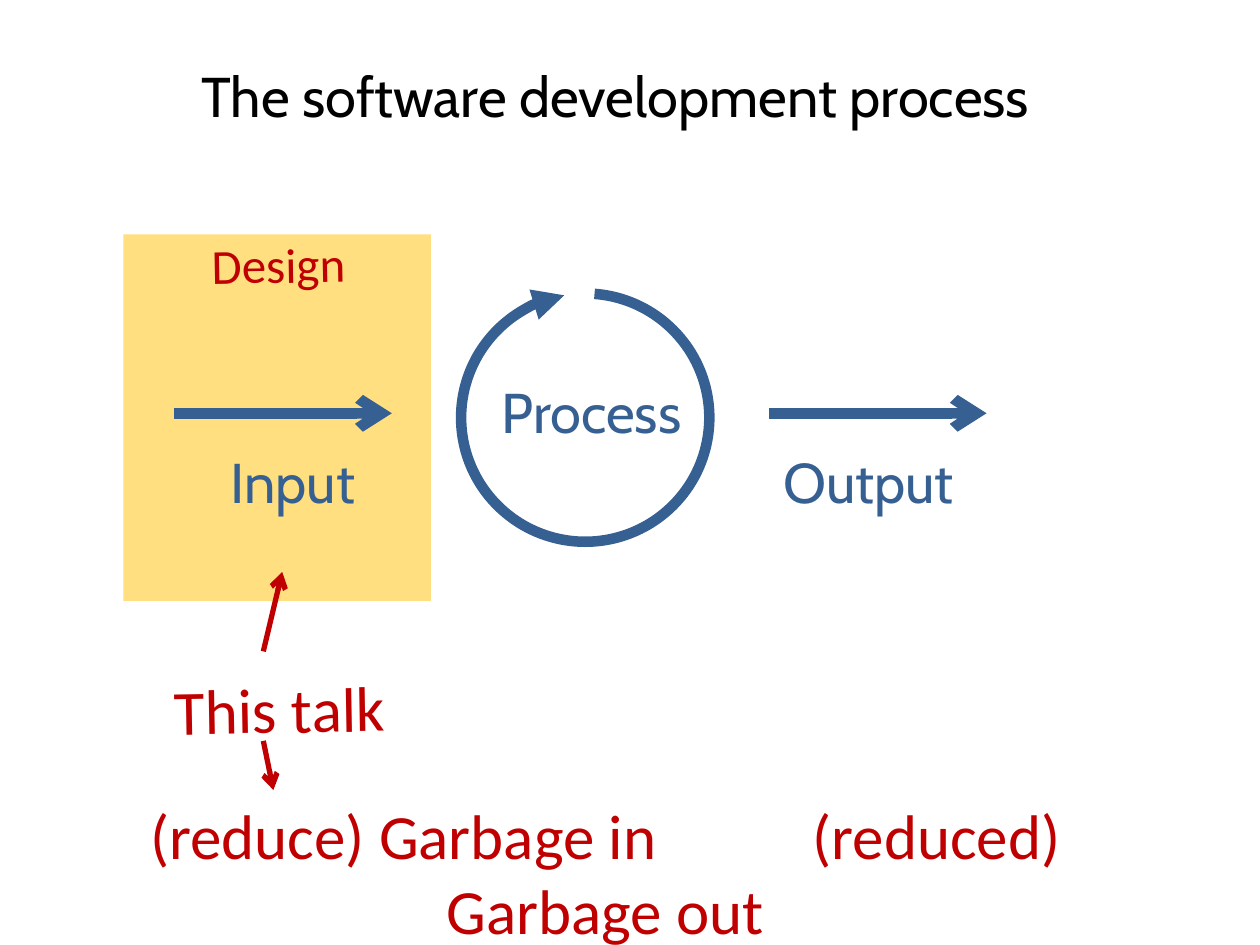
from dataclasses import dataclass

from pptx import Presentation
from pptx.dml.color import RGBColor
from pptx.enum.shapes import MSO_CONNECTOR, MSO_SHAPE
from pptx.enum.text import MSO_ANCHOR, MSO_AUTO_SIZE, PP_ALIGN
from pptx.oxml.ns import qn
from pptx.util import Inches, Pt
from lxml.etree import SubElement


@dataclass(frozen=True)
class Theme:
    ink: str = "000000"
    flow: str = "376092"
    note: str = "C00000"
    highlight: str = "FFC000"
    heading_font: str = "Cabin"
    note_font: str = "Calibri"
    label_size: int = 32
    note_size: int = 36
    tag_size: int = 28
    flow_width: int = 6
    note_width: int = 3


THEME = Theme()


@dataclass(frozen=True)
class Box:
    left: float
    top: float
    width: float
    height: float

    def inner(self, dx, dy, width, height):
        return Box(self.left + dx, self.top + dy, width, height)

    def point(self, dx, dy):
        return Inches(self.left + dx), Inches(self.top + dy)

    def lengths(self):
        return [Inches(n) for n in (self.left, self.top, self.width, self.height)]


def write(slide, text, box, *, size=THEME.label_size, font=THEME.heading_font,
          color=THEME.flow, rotation=0, side_margin=0.1, holder=None):
    """Centred text in a new text box, or in the given placeholder."""
    if holder is None:
        holder = slide.shapes.add_textbox(*box.lengths())
    else:
        holder.left, holder.top, holder.width, holder.height = box.lengths()
    holder.rotation = rotation
    frame = holder.text_frame
    frame.word_wrap = True
    frame.auto_size = MSO_AUTO_SIZE.SHAPE_TO_FIT_TEXT
    frame.vertical_anchor = MSO_ANCHOR.TOP
    frame.margin_left = frame.margin_right = Inches(side_margin)
    paragraph = frame.paragraphs[0]
    paragraph.alignment = PP_ALIGN.CENTER
    parts = [text] if isinstance(text, str) else text
    for part in parts:
        run = paragraph.add_run()
        run.text = part
        run.font.size = Pt(size)
        run.font.name = font
        run.font.color.rgb = RGBColor.from_string(color)
    return paragraph


def style_line(shape, color, width, head):
    shape.line.color.rgb = RGBColor.from_string(color)
    shape.line.width = Pt(width)
    SubElement(shape.line._get_or_add_ln(), qn("a:tailEnd"), type=head)


def add_arrow(slide, start, end, color, width):
    arrow = slide.shapes.add_connector(MSO_CONNECTOR.STRAIGHT, *start, *end)
    style_line(arrow, color, width, "arrow")
    SubElement(arrow._element.spPr, qn("a:effectLst"))


def add_title(slide, box):
    write(slide, "The software development process", box, color=THEME.ink,
          holder=slide.shapes.title)


def add_design_area(slide, box):
    # Half-transparent highlight behind the input step
    area = slide.shapes.add_shape(MSO_SHAPE.RECTANGLE, *box.lengths())
    area.shadow.inherit = False
    area.fill.solid()
    area.fill.fore_color.rgb = RGBColor.from_string(THEME.highlight)
    color = area._element.spPr.find(qn("a:solidFill"))[0]
    SubElement(color, qn("a:alpha"), val="50000")
    area.line.fill.background()
    write(slide, "Design", box.inner(-0.15, -0.05, 2.76, 0.57), size=THEME.tag_size,
          font=THEME.note_font, color=THEME.note, rotation=-1)


def add_process_flow(slide, box):
    # Input and output arrows with their labels
    for label, arrow_x, label_x in (("Input", 0, 0.01), ("Output", 4.72, 4.58)):
        add_arrow(slide, box.point(arrow_x, 0.95), box.point(arrow_x + 1.73, 0.95),
                  THEME.flow, THEME.flow_width)
        write(slide, label, box.inner(label_x, 1.17, 1.87, 0.64))

    # Process cycle, an almost closed arc
    cycle = slide.shapes.add_shape(MSO_SHAPE.ARC, *box.inner(2.28, 0, 1.97, 1.97).lengths())
    cycle.shadow.inherit = False
    cycle.fill.background()
    for index, degrees in enumerate((274.31, 260.27)):
        cycle.adjustments[index] = degrees * 0.6
    style_line(cycle, THEME.flow, THEME.flow_width, "triangle")
    write(slide, "Process", box.inner(2.38, 0.62, 1.87, 0.64))


def add_talk_notes(slide, box):
    note = dict(size=THEME.note_size, font=THEME.note_font, color=THEME.note)
    write(slide, "This talk", box.inner(0.64, 0.73, 2.76, 0.71), rotation=-1, **note)

    # One widened space separates the two halves of the motto
    motto = write(slide, ("(reduce) Garbage in", " ", "(reduced) Garbage out"),
                  box.inner(0, 1.73, 9.21, 0.71), side_margin=0.2, **note)
    motto.runs[1].font._element.set("spc", "8100")

    # Pointers from the talk to the design area and to the motto
    for start, end in (((1.89, 0.63), (2.04, 0)), ((1.89, 1.34), (1.97, 1.73))):
        add_arrow(slide, box.point(*start), box.point(*end), THEME.note, THEME.note_width)


def main():
    deck = Presentation()
    deck.slide_width, deck.slide_height = Inches(10), Inches(7.5)
    slide = deck.slides.add_slide(deck.slide_layouts.get_by_name("Title Only"))
    add_title(slide, Box(0.83, 0.44, 8.11, 0.64))
    add_design_area(slide, Box(0.98, 1.86, 2.44, 2.91))
    add_process_flow(slide, Box(1.38, 2.33, 6.45, 1.97))
    add_talk_notes(slide, Box(0.2, 4.54, 9.21, 2.44))
    deck.save("out.pptx")


if __name__ == "__main__":
    main()
